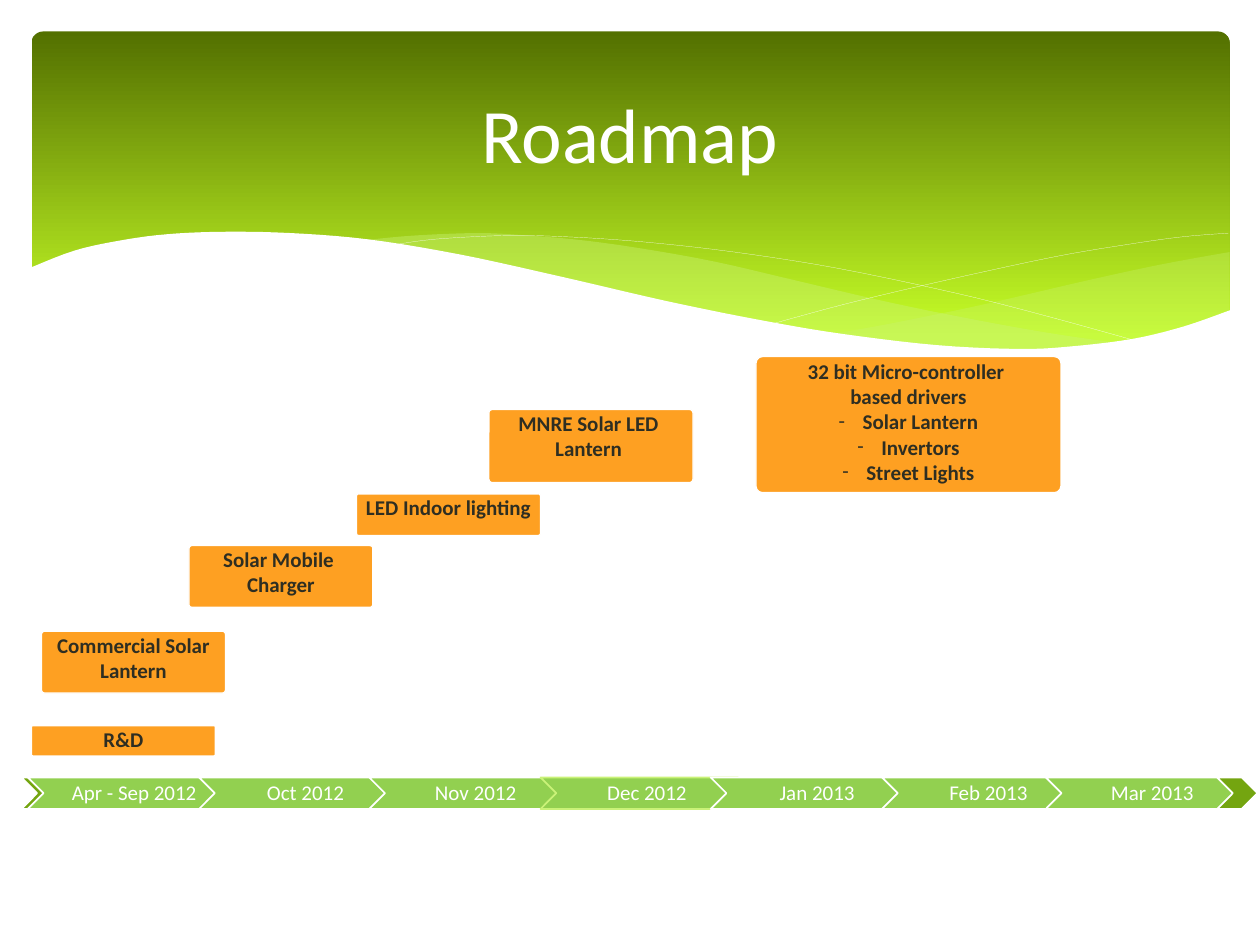
import pptx
import pptx.util
import pptx.dml.color
import pptx.oxml
import pptx.oxml.ns
from pptx.enum.shapes import MSO_SHAPE
from pptx.enum.text import MSO_ANCHOR, PP_ALIGN
from pptx.util import Inches, Pt

FONT = "Calibri"
WHITE, ORANGE, INK = "FFFFFF", "FEA022", "2E2E22"
LIME, MONTH, END = "CAF278", "92D050", "74A510"

# Waves: each outline is a list of curves, joined by straight lines
RIPPLES = [
    ([[(9.76, 2), (9.21, 2.1), (8.61, 2.23), (7.79, 2.42), (7.06, 2.57), (6.61, 2.65)],
      [(6.61, 2.65), (7.05, 2.71), (7.57, 2.76), (8.03, 2.78), (8.54, 2.76),
       (9.05, 2.69), (9.42, 2.59), (9.76, 2.47)]], 29),
    ([[(8.93, 2.73), (8.37, 2.65), (7.75, 2.54), (7.06, 2.4), (6.29, 2.22), (5.69, 2.08),
       (5.14, 1.98), (4.65, 1.91), (4.2, 1.87), (3.8, 1.85), (3.28, 1.87), (2.86, 1.91)],
      [(2.86, 1.91), (3.42, 1.99), (4.04, 2.11), (4.91, 2.32), (5.66, 2.48), (6.34, 2.61),
       (6.95, 2.7), (7.48, 2.76), (7.96, 2.78), (8.48, 2.77), (8.93, 2.73)]], 40),
]
THREADS = [
    [(3.09, 1.95), (3.44, 1.9), (4.01, 1.87), (4.5, 1.88), (5.1, 1.92), (5.82, 2),
     (6.65, 2.13), (7.6, 2.33), (8.31, 2.51), (9.07, 2.72)],
    [(6.13, 2.57), (6.72, 2.41), (7.48, 2.23), (8.36, 2.04), (8.95, 1.94),
     (9.38, 1.88), (9.75, 1.85)],
]
FOREGROUND = [
    [(9.77, 2.46), (9.4, 2.59), (8.99, 2.69), (8.5, 2.75), (8.09, 2.77), (7.44, 2.74),
     (6.68, 2.65), (6.03, 2.54), (5.29, 2.39), (4.47, 2.2), (3.65, 2.02), (2.92, 1.9),
     (2.3, 1.85), (1.77, 1.84), (1.32, 1.86), (0.95, 1.91), (0.59, 1.99), (0.23, 2.13)],
    [(0.23, 3.29), (9.77, 3.29)],
]

# Timeline: label, left edge, outline
MONTHS = [
    ("Apr - Sep 2012", 0.22, WHITE), ("Oct 2012", 1.58, WHITE),
    ("Nov 2012", 2.93, WHITE), ("Dec 2012", 4.29, LIME),
    ("Jan 2013", 5.64, WHITE), ("Feb 2013", 7, WHITE), ("Mar 2013", 8.3, WHITE),
]
BAR_TOP, BAR_H, MONTH_W = 6.17, 0.25, 1.69

# Milestones: left, top, width, height, lines ("- " starts a bullet)
MILESTONES = [
    (0.25, 5.76, 1.46, 0.24, ["R&D"]),
    (1.5, 4.33, 1.46, 0.49, ["Solar Mobile ", "Charger"]),
    (3.88, 3.25, 1.62, 0.58, ["MNRE Solar LED ", "Lantern "]),
    (2.83, 3.92, 1.46, 0.33, ["LED Indoor lighting"]),
    (6, 2.83, 2.42, 1.08, ["32 bit Micro-controller ", "based drivers",
                           "- Solar Lantern", "- Invertors", "- Street Lights"]),
    (0.33, 5.01, 1.46, 0.49, ["Commercial Solar", "Lantern"]),
]


def rgb(value):
    return pptx.dml.color.RGBColor.from_string(value)


def paint(sp, fill=None, line=None, width=1.0, alpha=None):
    sp.shadow.inherit = False
    if fill:
        sp.fill.solid()
        sp.fill.fore_color.rgb = rgb(fill)
        if alpha:
            color = sp.fill._xPr.find(".//" + pptx.oxml.ns.qn("a:srgbClr"))
            color.append(pptx.oxml.parse_xml(
                f'<a:alpha {pptx.oxml.ns.nsdecls("a")} val="{alpha * 1000}"/>'))
    else:
        sp.fill.background()
    if line:
        sp.line.color.rgb = rgb(line)
        sp.line.width = Pt(width)
    else:
        sp.line.fill.background()


def add_box(s, kind, left, top, width, height, *style):
    sp = s.shapes.add_shape(kind, Inches(left), Inches(top), Inches(width), Inches(height))
    paint(sp, *style)
    return sp


def smooth(points, steps=5):
    """Catmull-Rom curve through the points."""
    if len(points) < 3:
        return points
    padded = [points[0], *points, points[-1]]
    curve = [points[0]]
    for a, b, c, d in zip(padded, padded[1:], padded[2:], padded[3:]):
        for t in (i / steps for i in range(1, steps + 1)):
            curve.append(tuple(
                (2 * q + (r - p) * t + (2 * p - 5 * q + 4 * r - u) * t**2
                 + (3 * q - p - 3 * r + u) * t**3) / 2
                for p, q, r, u in zip(a, b, c, d)))
    return curve


def add_wave(s, curves, close=True):
    # The builder rounds to whole units, so points go in as EMU
    points = [(Inches(x), Inches(y)) for curve in curves for x, y in smooth(curve)]
    builder = s.shapes.build_freeform(*points[0])
    builder.add_line_segments(points[1:], close=close)
    return builder.convert_to_shape()


def style_text(p, size, color, bold=False):
    p.alignment = PP_ALIGN.CENTER
    p.font.name, p.font.size, p.font.bold = FONT, Pt(size), bold
    p.font.color.rgb = rgb(color)


def add_bullet(p):
    pPr = p._p.get_or_add_pPr()
    pPr.set("marL", str(Inches(0.19)))
    pPr.set("indent", str(-Inches(0.19)))
    for tag in (f'buFont {pptx.oxml.ns.nsdecls("a")} typeface="{FONT}"',
                f'buChar {pptx.oxml.ns.nsdecls("a")} char="-"'):
        pPr.insert_element_before(pptx.oxml.parse_xml(f"<a:{tag}/>"),
                                  "a:tabLst", "a:defRPr", "a:extLst")


def set_insets(tf, left, top, right, bottom):
    tf.margin_left, tf.margin_top = Inches(left), Inches(top)
    tf.margin_right, tf.margin_bottom = Inches(right), Inches(bottom)


prs = pptx.Presentation()
prs.slide_width, prs.slide_height = Inches(10), Inches(7.5)
s = prs.slides.add_slide(prs.slide_layouts[5])

# Green banner with waves
banner = add_box(s, MSO_SHAPE.ROUNDED_RECTANGLE, 0.25, 0.25, 9.51, 2.7)
banner.adjustments[0] = 0.034
banner.fill.gradient()
banner.fill.gradient_angle = 270
for stop, (position, color) in zip(banner.fill.gradient_stops, [(0, "537000"), (0.9, "C7FF27")]):
    stop.position, stop.color.rgb = position, rgb(color)
for curves, alpha in RIPPLES:
    paint(add_wave(s, curves), LIME, alpha=alpha)
for thread in THREADS:
    paint(add_wave(s, [thread], close=False), line=WHITE, width=0.1)
paint(add_wave(s, FOREGROUND), WHITE)

# Title, brought in front of the banner
title = s.shapes.title
title.left, title.top, title.width, title.height = map(Inches, (0.5, 0.37, 9, 1.37))
title.text_frame.text = "Roadmap"
title.text_frame.vertical_anchor = MSO_ANCHOR.MIDDLE
style_text(title.text_frame.paragraphs[0], 44, WHITE)
s.shapes._spTree.append(title._element)

# Timeline
add_box(s, MSO_SHAPE.PENTAGON, 0.35, BAR_TOP, 0.15, BAR_H, END, WHITE)
add_box(s, MSO_SHAPE.CHEVRON, 0.17, BAR_TOP, 0.34, BAR_H, END, WHITE)
for label, left, outline in MONTHS:
    sp = add_box(s, MSO_SHAPE.CHEVRON, left, BAR_TOP, MONTH_W, BAR_H, MONTH, outline)
    tf = sp.text_frame
    set_insets(tf, 0, 0, 0, 0)
    tf.vertical_anchor = MSO_ANCHOR.MIDDLE
    p = tf.paragraphs[0]
    p.text, p.line_spacing = label, 0.9
    style_text(p, 12, WHITE)
add_box(s, MSO_SHAPE.CHEVRON, 9.66, BAR_TOP, 0.32, BAR_H, END, WHITE)

# Milestones
for left, top, width, height, lines in MILESTONES:
    sp = add_box(s, MSO_SHAPE.ROUNDED_RECTANGLE, left, top, width, height, ORANGE, WHITE, 0.75)
    sp.adjustments[0] = 0.048
    tf = sp.text_frame
    set_insets(tf, 0.1, 0, 0.1, 0.05)
    tf.word_wrap, tf.vertical_anchor = False, MSO_ANCHOR.TOP
    for i, line in enumerate(lines):
        p = tf.add_paragraph() if i else tf.paragraphs[0]
        p.text = line.removeprefix("- ")
        style_text(p, 12, INK, bold=True)
        if line.startswith("- "):
            add_bullet(p)

prs.save("out.pptx")
